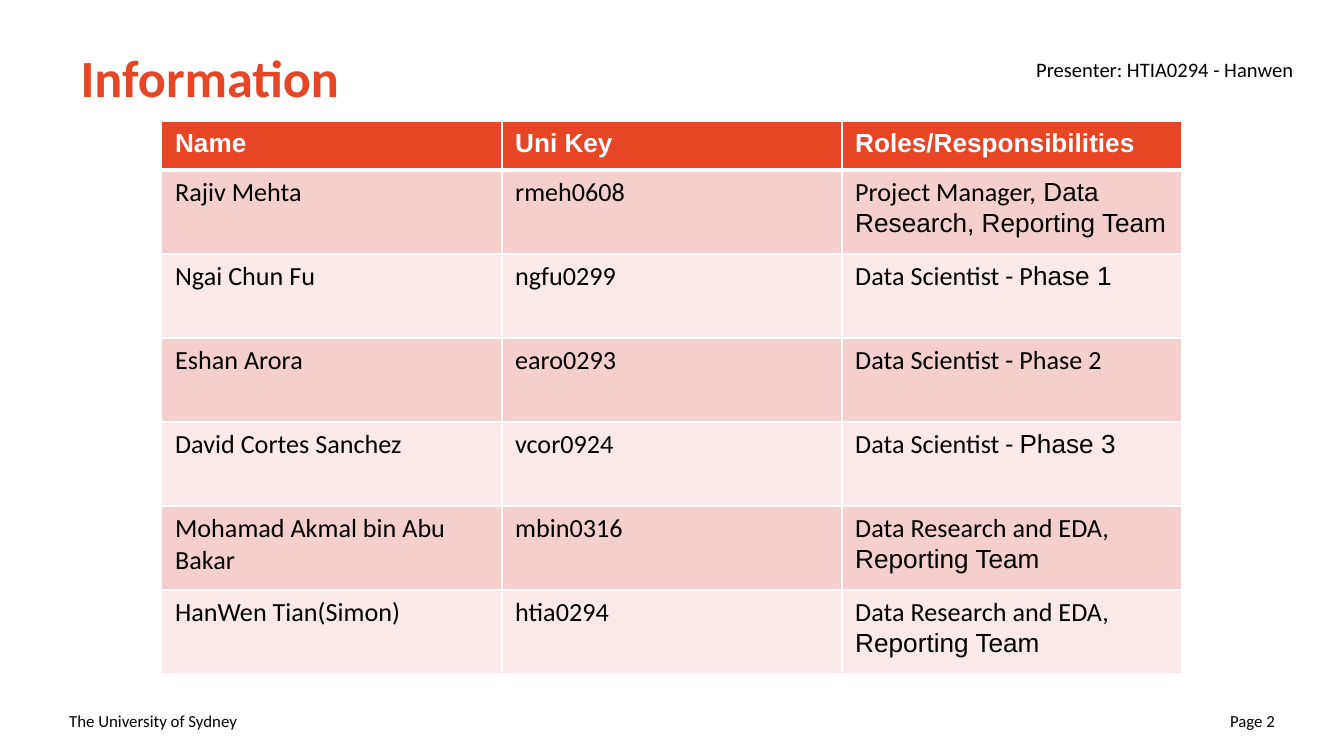
from lxml import etree
from pptx import Presentation
from pptx.dml.color import RGBColor
from pptx.enum.text import MSO_ANCHOR, PP_ALIGN
from pptx.oxml.ns import qn
from pptx.util import Pt

LEFT, RIGHT = PP_ALIGN.LEFT, PP_ALIGN.RIGHT
TOP, MIDDLE = MSO_ANCHOR.TOP, MSO_ANCHOR.MIDDLE
COLORS = {"accent": "E64626", "odd": "F5CFCD", "even": "FAE9E8",
          "text": "000000", "white": "FFFFFF"}
BODY, ALT = "Calibri", "Arial"
TITLE_ONLY = 5

HEADERS = ["Name", "Uni Key", "Roles/Responsibilities"]
MEMBERS = [
    ("Rajiv Mehta", "rmeh0608", ("Project Manager,", " Data Research, Reporting Team")),
    ("Ngai Chun Fu", "ngfu0299", ("Data Scientist - P", "hase 1")),
    ("Eshan Arora", "earo0293", ("Data Scientist - Phase 2",)),
    ("David Cortes Sanchez", "vcor0924", ("Data Scientist - ", "Phase 3")),
    ("Mohamad Akmal bin Abu Bakar", "mbin0316",
     ("Data Research and EDA, ", "Reporting Team")),
    ("HanWen Tian(Simon)", "htia0294",
     ("Data Research and EDA, ", "Reporting Team")),
]


class Deck:
    def __init__(self, width, height):
        self.prs = Presentation()
        self.prs.slide_width, self.prs.slide_height = Pt(width), Pt(height)
        self.s = self.prs.slides.add_slide(self.prs.slide_layouts[TITLE_ONLY])

    def run(self, p, text, color="text", **fmt):
        r = p.add_run()
        r.text = text
        for name, value in {"name": BODY, "bold": False, **fmt}.items():
            setattr(r.font, name, value)
        r.font.color.rgb = RGBColor.from_string(COLORS[color])

    def frame(self, sp, text, align, anchor, **fmt):
        tf = sp.text_frame
        tf.word_wrap, tf.vertical_anchor = True, anchor
        p = tf.paragraphs[0]
        p.alignment = align
        self.run(p, text, **fmt)

    def title(self, text, x, y, w, h):
        sp = self.s.shapes.title
        sp.left, sp.top, sp.width, sp.height = Pt(x), Pt(y), Pt(w), Pt(h)
        self.frame(sp, text, LEFT, MIDDLE, color="accent", size=Pt(28), bold=True)

    def text(self, text, x, y, w, h, size, align=LEFT, anchor=TOP):
        sp = self.s.shapes.add_textbox(Pt(x), Pt(y), Pt(w), Pt(h))
        self.frame(sp, text, align, anchor, size=Pt(size))

    def border(self, cell, side, width):
        tc_pr = cell._tc.get_or_add_tcPr()
        ln = etree.SubElement(tc_pr, qn(f"a:ln{side}"), w=str(Pt(width)))
        fill = etree.SubElement(ln, qn("a:solidFill"))
        etree.SubElement(fill, qn("a:srgbClr"), val=COLORS["white"])

    def cell(self, cell, parts, fill, widths, **fmt):
        for side, width in zip("LRTB", widths):
            self.border(cell, side, width)
        cell.fill.solid()
        cell.fill.fore_color.rgb = RGBColor.from_string(COLORS[fill])
        p = cell.text_frame.paragraphs[0]
        for text, font in zip(parts, (BODY, ALT)):
            self.run(p, text, **{"name": font, "size": Pt(14), **fmt})

    def table(self, headers, rows, x, y, col_w, head_h, row_h):
        n, m = len(rows) + 1, len(headers)
        table = self.s.shapes.add_table(
            n, m, Pt(x), Pt(y), Pt(col_w * m), Pt(head_h + row_h * len(rows))).table
        for col in table.columns:
            col.width = Pt(col_w)
        for i, row in enumerate(table.rows):
            row.height = Pt(row_h if i else head_h)
        for j, text in enumerate(headers):
            self.cell(table.cell(0, j), [text], "accent", (1, 1, 1, 3),
                      color="white", name=ALT, bold=True)
        for i, (name, key, roles) in enumerate(rows, 1):
            top = 3 if i == 1 else 1
            for j, parts in enumerate(([name], [key], roles)):
                self.cell(table.cell(i, j), parts, "odd" if i % 2 else "even",
                          (1, 1, top, 1))


def main():
    deck = Deck(720, 405)
    deck.text("The University of Sydney", 30, 375.4, 168, 21.6, 9, anchor=MIDDLE)
    deck.text("Page 2", 522, 375.4, 168, 21.6, 9, RIGHT, MIDDLE)
    deck.title("Information", 36, 7.5, 648, 67.5)
    deck.table(HEADERS, MEMBERS, 86.6, 65.2, 182.2, 25.9, 45)
    deck.text("Presenter: HTIA0294 - Hanwen", 548, 26.8, 165, 20.6, 11)
    deck.prs.save("out.pptx")


if __name__ == "__main__":
    main()
